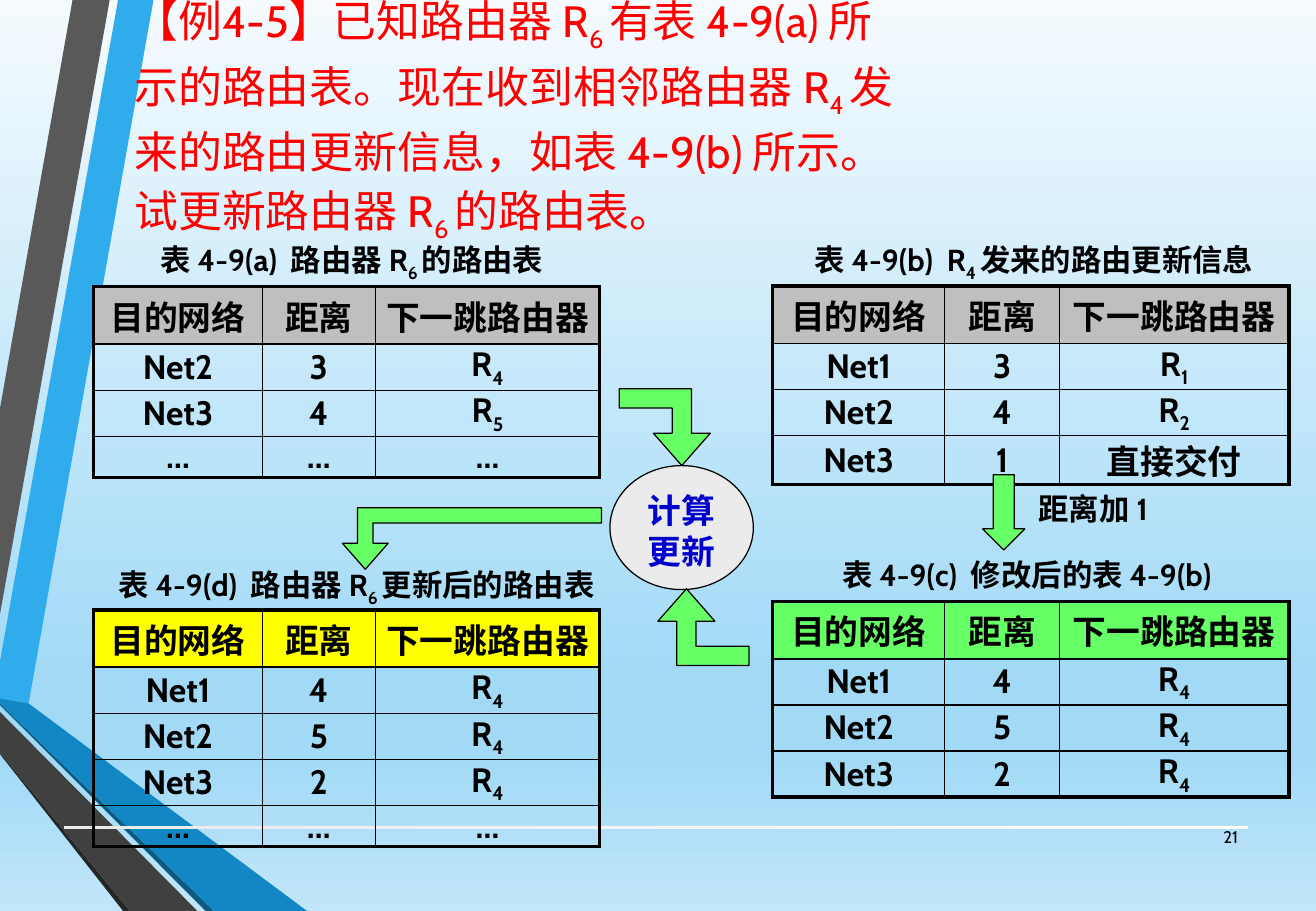
from copy import deepcopy

from lxml.etree import SubElement
from pptx import Presentation
from pptx.dml.color import RGBColor
from pptx.enum.shapes import MSO_SHAPE
from pptx.enum.text import MSO_ANCHOR, PP_ALIGN
from pptx.oxml.ns import qn
from pptx.util import Pt

FONT = "Cabin"
BLACK = RGBColor(0, 0, 0)
RED = RGBColor(0xFF, 0, 0)
BLUE = RGBColor(0, 0, 0xCC)
GREY = RGBColor(0xBF, 0xBF, 0xBF)
GREEN = RGBColor(0x66, 0xFF, 0x66)
YELLOW = RGBColor(0xFF, 0xFF, 0)
SILVER = RGBColor(0xEB, 0xEB, 0xEB)
WHITE = RGBColor(0xFF, 0xFF, 0xFF)
PALE = RGBColor(0xF5, 0xFB, 0xFE)
SKY = RGBColor(0xA2, 0xDA, 0xF6)
MIST = RGBColor(0xC1, 0xE6, 0xF9)

BACKGROUND = [(0, PALE), (0.74, SKY), (0.83, SKY), (1, MIST)]
RIBBONS = [
    (RGBColor(0x30, 0xAC, 0xEC), [(0, 392), (0, 414), (17, 417), (91, 0), (70, 0)]),
    (RGBColor(0x59, 0x59, 0x59), [(65, 0), (43, 0), (0, 242), (0, 364)]),
    (RGBColor(0x26, 0x26, 0x26), [(0, 446), (0, 447), (73, 540), (77, 540)]),
    (RGBColor(0x0C, 0x5A, 0x82), [(0, 417), (0, 418), (122, 540), (127, 540)]),
    (RGBColor(0x12, 0x87, 0xC3),
     [(0, 417), (127, 540), (182, 540), (17, 417), (0, 414)]),
    (RGBColor(0x40, 0x40, 0x40), [(0, 446), (77, 540), (117, 540), (0, 422)]),
]

# Text between a pair of bars is subscript.
TITLE = ("【例4-5】已知路由器 R|6 |有表 4-9(a) 所示的路由表。现在收到相邻路由器 R|4 |"
         "发来的路由更新信息，如表 4-9(b) 所示。试更新路由器 R|6 |的路由表。")
HEADER = ("目的网络", "距离", "下一跳路由器")
DIRECT = "直接交付"
ELLIPSIS = ("…", "…", "…")
LEFT_COLUMNS = (100, 67, 133)
RIGHT_COLUMNS = (102, 68, 136)
ROW_HEIGHT = 27.2
# Heights of rows whose last cell differs from a plain route
SPECIAL_HEIGHTS = {HEADER[-1]: 34, DIRECT: 29.2, ELLIPSIS[-1]: 24.4}
THICK, THIN = 2.25, 1
# left, top, column widths, header fill, rows
TABLES = [
    (55.5, 170, LEFT_COLUMNS, GREY,
     [("Net2", "3", "R|4|"), ("Net3", "4", "R|5|"), ELLIPSIS]),
    (458, 169.5, RIGHT_COLUMNS, GREY,
     [("Net1", "3", "R|1|"), ("Net2", "4", "R|2|"), ("Net3", "1", DIRECT)]),
    (458, 356.5, RIGHT_COLUMNS, GREEN,
     [("Net1", "4", "R|4|"), ("Net2", "5", "R|4|"), ("Net3", "2", "R|4|")]),
    (55.5, 361.5, LEFT_COLUMNS, YELLOW,
     [("Net1", "4", "R|4|"), ("Net2", "5", "R|4|"), ("Net3", "2", "R|4|"), ELLIPSIS]),
]
# left, top, width, text, alignment, wrap
CAPTIONS = [
    (61, 139.5, 295, "表 4-9(a)  路由器 R|6 |的路由表", PP_ALIGN.CENTER, True),
    (469.5, 139.5, 286.5, "表 4-9(b)  R|4 |发来的路由更新信息", PP_ALIGN.CENTER, False),
    (49.5, 332, 323.5, "表 4-9(d)  路由器 R|6 |更新后的路由表", PP_ALIGN.CENTER, True),
    (469.5, 326, 278, "表 4-9(c)  修改后的表 4-9(b)", PP_ALIGN.CENTER, True),
    (608.5, 287, 84, "距离加 1", PP_ALIGN.LEFT, False),
]
CAPTION_HEIGHT = 29
# left, top, width, height, mirrored directions
BENT_ARROWS = [
    (390, 349, 54, 45.5, ["flipH"]),
    (367, 230.5, 54, 45.5, ["flipV"]),
    (203, 301, 153.5, 36.5, ["flipH", "flipV"]),
]
BEND = (0.25, 0.371, 0.423)


def write(frame, text, size, color=BLACK, bold=True, align=PP_ALIGN.CENTER):
    """Fill a text frame, lowering the parts between bars."""
    para = frame.paragraphs[0]
    para.alignment = align
    for index, part in enumerate(text.split("|")):
        if not part:
            continue
        span = para.add_run()
        span.text = part
        span.font.name, span.font.size = FONT, Pt(size)
        span.font.bold, span.font.color.rgb = bold, color
        if index % 2:
            span.font._element.set("baseline", "-25000")
    return para


def set_gradient(fill, element, stops, angle):
    """Give a fill the listed gradient stops."""
    fill.gradient()
    fill.gradient_angle = angle
    stop_list = element.find(".//" + qn("a:gsLst"))
    while len(stop_list) < len(stops):
        stop_list.append(deepcopy(stop_list[0]))
    for stop, (position, color) in zip(fill.gradient_stops, stops):
        stop.position, stop.color.rgb = position, color


def add_text(page, bounds, wrap=True, anchor=MSO_ANCHOR.TOP):
    """Add a text box and return its frame."""
    frame = page.shapes.add_textbox(*map(Pt, bounds)).text_frame
    frame.word_wrap, frame.vertical_anchor = wrap, anchor
    return frame


def add_outlined(page, kind, bounds, color):
    """Add a filled preset shape with a thin black outline."""
    shape = page.shapes.add_shape(kind, *map(Pt, bounds))
    shape.shadow.inherit = False
    shape.fill.solid()
    shape.fill.fore_color.rgb = color
    shape.line.color.rgb, shape.line.width = BLACK, Pt(0.75)
    return shape


def add_ribbon(page, color, points):
    """Add one plain polygon of the side decoration."""
    builder = page.shapes.build_freeform(*points[0], scale=Pt(1))
    builder.add_line_segments(points[1:], close=True)
    ribbon = builder.convert_to_shape()
    ribbon.shadow.inherit = False
    ribbon.fill.solid()
    ribbon.fill.fore_color.rgb = color
    ribbon.line.fill.background()


def set_borders(cell, widths):
    """Draw the left, right, top and bottom borders of a cell."""
    properties = cell._tc.get_or_add_tcPr()
    for index, (side, width) in enumerate(zip("LRTB", widths)):
        line = SubElement(properties, qn(f"a:ln{side}"), w=str(int(Pt(width))))
        SubElement(SubElement(line, qn("a:solidFill")), qn("a:srgbClr"), val=str(BLACK))
        properties.insert(index, line)


def add_routes(page, left, top, widths, color, rows):
    """Add one routing table with a thick frame and a coloured header."""
    rows = [HEADER, *rows]
    heights = [SPECIAL_HEIGHTS.get(row[-1], ROW_HEIGHT) for row in rows]
    table = page.shapes.add_table(len(rows), len(widths), Pt(left), Pt(top),
                                  Pt(sum(widths)), Pt(sum(heights))).table
    table.first_row = table.horz_banding = False
    for column, width in zip(table.columns, widths):
        column.width = Pt(width)
    for r, row in enumerate(rows):
        table.rows[r].height = Pt(heights[r])
        for c, text in enumerate(row):
            cell = table.cell(r, c)
            cell.margin_left = cell.margin_right = Pt(5)
            cell.margin_top = cell.margin_bottom = Pt(0)
            cell.vertical_anchor = MSO_ANCHOR.MIDDLE
            if r:
                cell.fill.background()
            else:
                cell.fill.solid()
                cell.fill.fore_color.rgb = color
            edges = (c == 0, c == len(row) - 1, r == 0, r == len(rows) - 1)
            set_borders(cell, [THICK if edge else THIN for edge in edges])
            write(cell.text_frame, text, 20)


deck = Presentation()
deck.slide_width, deck.slide_height = Pt(780), Pt(540)
page = deck.slides.add_slide(deck.slide_layouts[6])
set_gradient(page.background.fill, page.element, BACKGROUND, 270)

for color, points in RIBBONS:
    add_ribbon(page, color, points)
bar = page.shapes.add_shape(MSO_SHAPE.RECTANGLE, Pt(38), Pt(489.5), Pt(702), Pt(2.2))
bar.shadow.inherit = False
bar.line.fill.background()
set_gradient(bar.fill, bar.element, [(0, SILVER), (1, WHITE)], 0)

title = add_text(page, (72.5, 9, 471, 119), anchor=MSO_ANCHOR.MIDDLE)
write(title, TITLE, 26, RED, False, PP_ALIGN.LEFT).line_spacing = 1.1

for routes in TABLES:
    add_routes(page, *routes)
for left, top, width, text, align, wrap in CAPTIONS:
    frame = add_text(page, (left, top, width, CAPTION_HEIGHT), wrap)
    write(frame, text, 18, align=align)

add_outlined(page, MSO_SHAPE.DOWN_ARROW, (582.5, 281.5, 25, 44.5), GREEN)
update = add_outlined(page, MSO_SHAPE.OVAL, (361.5, 276, 85, 73.5), SILVER)
update.text_frame.vertical_anchor = MSO_ANCHOR.TOP
write(update.text_frame, "计算更新", 20, BLUE)
for *bounds, flips in BENT_ARROWS:
    arrow = add_outlined(page, MSO_SHAPE.BENT_UP_ARROW, bounds, GREEN)
    for index, value in enumerate(BEND):
        arrow.adjustments[index] = value
    for flip in flips:
        arrow.element.spPr.find(qn("a:xfrm")).set(flip, "1")

number = add_text(page, (705.5, 481.5, 35.5, 29), anchor=MSO_ANCHOR.MIDDLE)
write(number, "21", 10, bold=False, align=PP_ALIGN.RIGHT)

deck.save("out.pptx")
